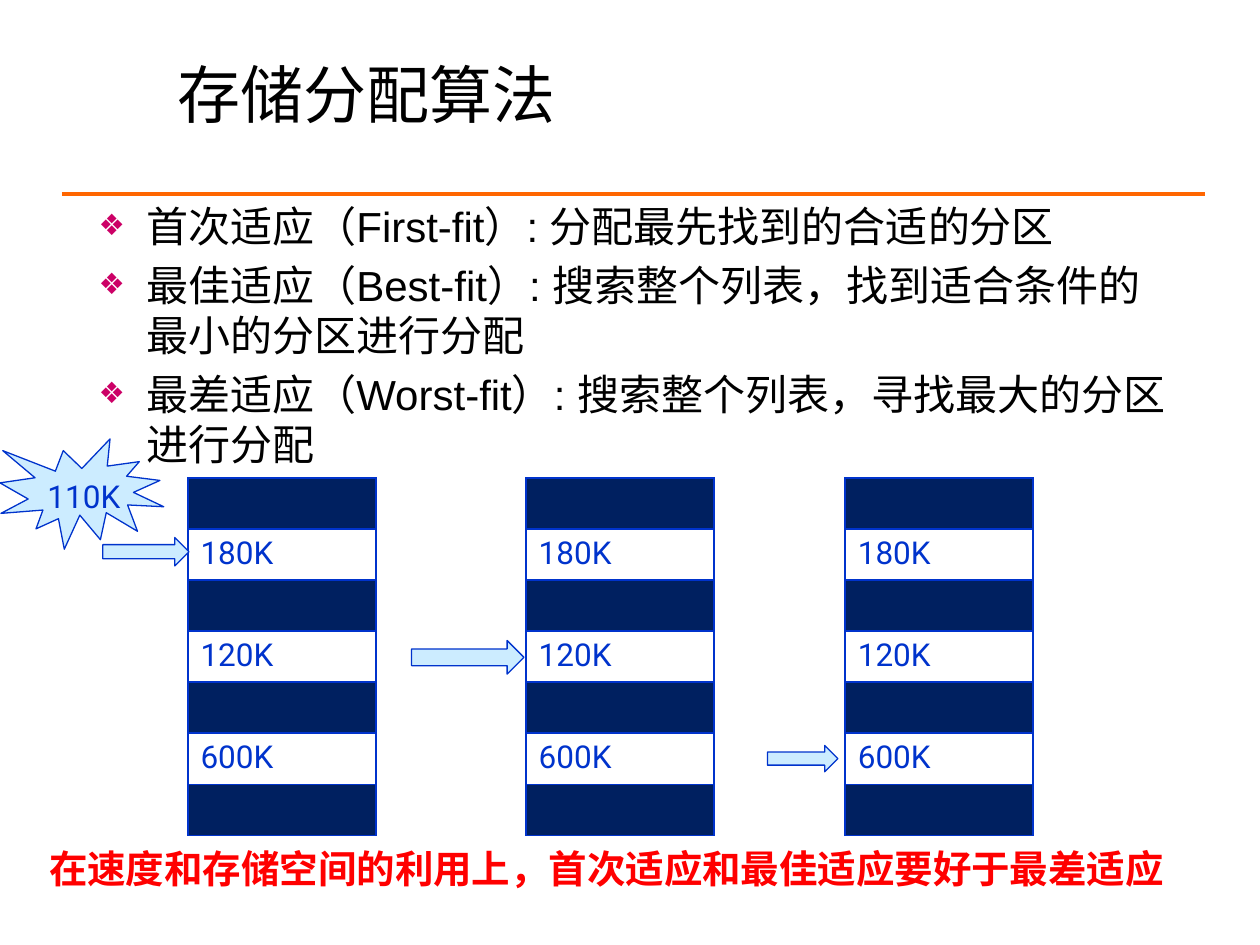
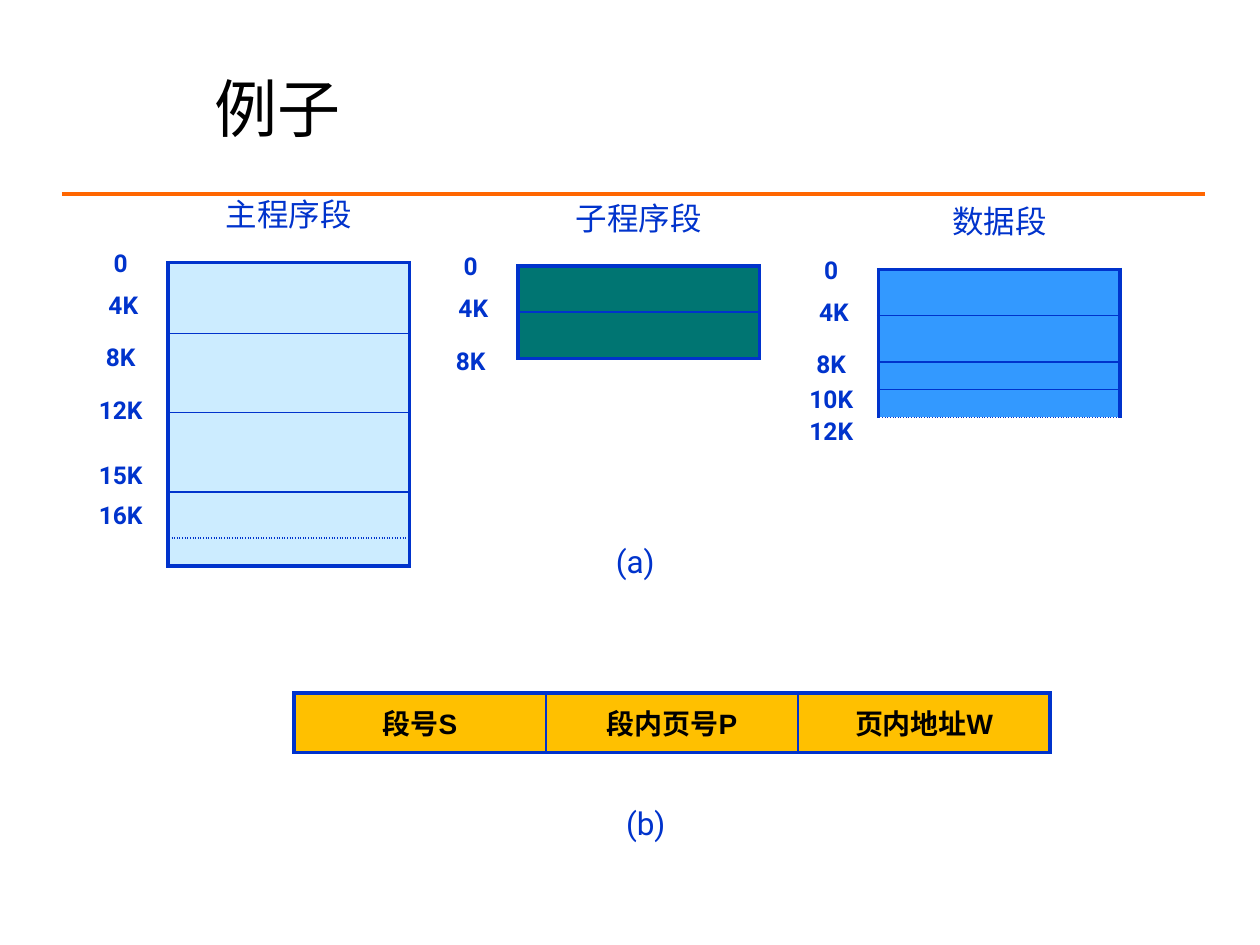
from lxml.etree import SubElement
from pptx import Presentation
from pptx.dml.color import RGBColor
from pptx.enum.shapes import MSO_CONNECTOR, MSO_SHAPE
from pptx.enum.text import MSO_ANCHOR, MSO_AUTO_SIZE, PP_ALIGN
from pptx.oxml.ns import qn
from pptx.util import Inches, Pt

BLACK = RGBColor(0x00, 0x00, 0x00)
BLUE = RGBColor(0x00, 0x33, 0xCC)
PALE_BLUE = RGBColor(0xCC, 0xEC, 0xFF)
SKY_BLUE = RGBColor(0x33, 0x99, 0xFF)
NAVY = RGBColor(0x00, 0x20, 0x60)
TEAL = RGBColor(0x00, 0x75, 0x72)
AMBER = RGBColor(0xFF, 0xC0, 0x00)
ORANGE = RGBColor(0xFF, 0x66, 0x00)
MAGENTA = RGBColor(0xCC, 0x00, 0x66)
RED = RGBColor(0xFF, 0x00, 0x00)

HEADING_FONT = "Arial"
LABEL_FONT = "Roboto"
TITLE_ONLY = 5
THIN, THICK = 1, 2.25


def grid(*cells):
    """Turn columns or rows of the 120 x 90 slide grid into lengths."""
    return [Inches(cell / 12) for cell in cells]


class Deck:
    """Holds the common style and the slide being filled."""

    def __init__(self):
        self.presentation = Presentation()
        self.presentation.slide_width, self.presentation.slide_height = grid(120, 90)
        self.slide = None

    def start_slide(self, title, box, anchor):
        layout = self.presentation.slide_layouts[TITLE_ONLY]
        self.slide = self.presentation.slides.add_slide(layout)
        heading = self.slide.shapes.title
        heading.left, heading.top, heading.width, heading.height = grid(*box)
        frame = heading.text_frame
        frame.auto_size = MSO_AUTO_SIZE.NONE
        frame.word_wrap = True
        frame.vertical_anchor = anchor
        self.add_text(frame.paragraphs[0], title, 36, HEADING_FONT, BLACK)
        self.rule(5.9, 114.8, 18.5)

    def rule(self, left, right, row):
        line = self.slide.shapes.add_connector(
            MSO_CONNECTOR.STRAIGHT, *grid(left, row, right, row))
        line.line.color.rgb = ORANGE
        line.line.width = Pt(THICK)
        SubElement(line._element.spPr, qn("a:effectLst"))

    def add_text(self, paragraph, text, size, font=LABEL_FONT, color=BLUE,
                 bold=False, align=PP_ALIGN.LEFT):
        paragraph.alignment = align
        run = paragraph.add_run()
        run.text = text
        run.font.size = Pt(size)
        run.font.name = font
        run.font.color.rgb = color
        run.font.bold = bold

    def text_frame(self, box):
        frame = self.slide.shapes.add_textbox(*grid(*box)).text_frame
        frame.word_wrap = True
        return frame

    def label(self, text, box, size=18, **style):
        frame = self.text_frame(box)
        frame.vertical_anchor = MSO_ANCHOR.MIDDLE
        self.add_text(frame.paragraphs[0], text, size,
                      **{"align": PP_ALIGN.CENTER, **style})

    def bullets(self, items, box):
        frame = self.text_frame(box)
        for index, item in enumerate(items):
            paragraph = frame.add_paragraph() if index else frame.paragraphs[0]
            properties = paragraph._p.get_or_add_pPr()
            properties.set("marL", str(Inches(0.38)))
            properties.set("indent", str(Inches(-0.38)))
            color = SubElement(properties, qn("a:buClr"))
            SubElement(color, qn("a:srgbClr"), val=str(MAGENTA))
            SubElement(properties, qn("a:buSzPct"), val="70000")
            SubElement(properties, qn("a:buFont"), typeface=HEADING_FONT)
            SubElement(properties, qn("a:buChar"), char="❖")
            if index:
                paragraph.space_before = Pt(4.8)
            self.add_text(paragraph, item, 24, HEADING_FONT, BLACK)

    def shape(self, preset, box):
        shape = self.slide.shapes.add_shape(preset, *grid(*box))
        shape.shadow.inherit = False
        shape.fill.solid()
        shape.fill.fore_color.rgb = PALE_BLUE
        shape.line.color.rgb = BLUE
        shape.line.width = Pt(0.75)
        return shape

    def burst(self, text, box):
        frame = self.shape(MSO_SHAPE.EXPLOSION1, box).text_frame
        frame.word_wrap = False
        frame.vertical_anchor = MSO_ANCHOR.TOP
        self.add_text(frame.paragraphs[0], text, 18)

    def table(self, left, top, widths, heights, fills, texts=(), outer=THICK,
              dotted=None, anchor=MSO_ANCHOR.TOP, **style):
        """Draw a ruled table; fills and texts run row by row, and
        dotted is the number of the horizontal boundary drawn in dots."""
        box = grid(left, top, sum(widths), sum(heights))
        table = self.slide.shapes.add_table(len(heights), len(widths), *box).table
        table.first_row = table.horz_banding = False
        for column, width in zip(table.columns, grid(*widths)):
            column.width = width
        for row, height in zip(table.rows, grid(*heights)):
            row.height = height
        last_row, last_column = len(heights), len(widths)
        for index, cell in enumerate(table.iter_cells()):
            row, column = divmod(index, last_column)
            edges = {"L": (column, last_column), "R": (column + 1, last_column),
                     "T": (row, last_row), "B": (row + 1, last_row)}
            for side, (boundary, last) in edges.items():
                dots = side in "TB" and boundary == dotted
                is_outer = boundary in (0, last) and not dots
                self.border(cell, side, outer if is_outer else THIN, dots)
            if fills[index] is None:
                cell.fill.background()
            else:
                cell.fill.solid()
                cell.fill.fore_color.rgb = fills[index]
            cell.vertical_anchor = anchor
            paragraph = cell.text_frame.paragraphs[0]
            if texts and texts[index]:
                self.add_text(paragraph, texts[index], **style)
            else:
                cell.margin_top = cell.margin_bottom = 0
                SubElement(paragraph._p, qn("a:endParaRPr"), sz="600")

    def border(self, cell, side, width, dots):
        properties = cell._tc.get_or_add_tcPr()
        line = SubElement(properties, qn(f"a:ln{side}"), w=str(Pt(width)))
        fill = SubElement(line, qn("a:solidFill"))
        SubElement(fill, qn("a:srgbClr"), val=str(BLUE))
        SubElement(line, qn("a:prstDash"), val="sysDot" if dots else "solid")


def add_allocation_slide(deck):
    deck.start_slide("存储分配算法", (15.7, 4.7, 88.7, 3.2), MSO_ANCHOR.TOP)
    deck.bullets(["首次适应（First-fit）: 分配最先找到的合适的分区",
                  "最佳适应（Best-fit）: 搜索整个列表，找到适合条件的最小的分区进行分配",
                  "最差适应（Worst-fit）: 搜索整个列表，寻找最大的分区进行分配"],
                 (8.2, 18.5, 105.2, 23.3))
    deck.label("在速度和存储空间的利用上，首次适应和最佳适应要好于最差适应",
               (3.5, 79.9, 112.2, 5.6), size=22, color=RED, bold=True,
               align=PP_ALIGN.LEFT)
    partitions = [None, "180K", None, "120K", None, "600K", None]
    fills = [None if free else NAVY for free in partitions]
    for memory_left in (17.9, 50.1, 80.5):
        deck.table(memory_left, 45.5, [17.9], [4.87] * len(partitions), fills,
                   partitions, outer=THIN, size=18)
    for chosen in ((9.8, 51.2, 8.2, 2.7), (39.2, 61, 10.7, 3.2),
                   (73.1, 71, 6.7, 2.5)):
        deck.shape(MSO_SHAPE.RIGHT_ARROW, chosen)
    deck.burst("110K", (0, 41.8, 15.6, 10.5))


def add_segment(deck, name, left, top, color, heights, addresses, dotted=None):
    deck.table(left, top, [23], heights, [color] * len(heights), dotted=dotted)
    deck.label(name, (left + 4, top - 7, 15, 4.8))
    for address, drop in addresses.items():
        shift = 0.25 if address == "4K" else 0
        deck.label(address, (left - 8 + shift, top + drop, 7, 4), size=14, bold=True)


def add_example_slide(deck):
    deck.start_slide("例子", (19.2, 6.2, 92.6, 8), MSO_ANCHOR.MIDDLE)
    page, rest = 4.4, 2.65
    shared = {"0": -2, "4K": 2, "8K": 7}
    add_segment(deck, "主程序段", 16, 25, PALE_BLUE, [6.75, 7.55, 7.55, page, rest],
                {**shared, "12K": 12, "15K": 18.25, "16K": 22}, dotted=4)
    add_segment(deck, "子程序段", 49.33, 25.33, TEAL, [page] * 2, shared)
    add_segment(deck, "数据段", 83.67, 25.67, SKY_BLUE, [page, page, rest, rest],
                {**shared, "10K": 10.33, "12K": 13.33}, dotted=4)
    deck.label("(a)", (53, 51, 15, 4.8))
    deck.table(28, 66, [24] * 3, [5.65], [AMBER] * 3,
               ["段号S", "段内页号P", "页内地址W"], anchor=MSO_ANCHOR.MIDDLE,
               size=16, font=HEADING_FONT, color=BLACK, bold=True,
               align=PP_ALIGN.CENTER)
    deck.label("(b)", (54, 76, 15, 4.8))


def main():
    deck = Deck()
    add_allocation_slide(deck)
    add_example_slide(deck)
    deck.presentation.save("out.pptx")


if __name__ == "__main__":
    main()
